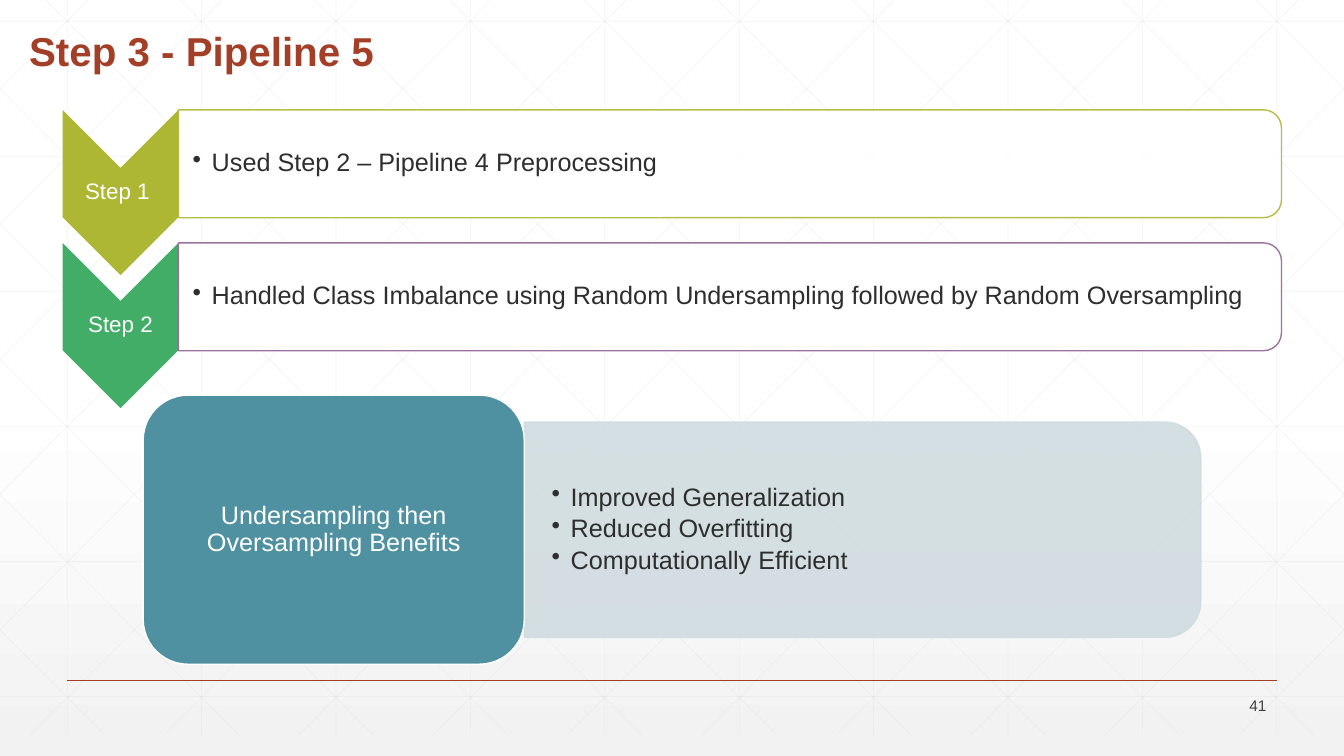
from pptx import Presentation, util as u
from pptx.dml.color import RGBColor
from pptx.enum import shapes, text
from pptx.oxml.ns import qn
from lxml import etree
from copy import deepcopy

W, H = 13.33, 7.5
CELL = W / 10
FONT = "Arial"
WHITE = RGBColor(0xFF, 0xFF, 0xFF)
MIST = RGBColor(0xF2, 0xF2, 0xF2)
GRID = RGBColor(0xD9, 0xD9, 0xD9)
RUST = RGBColor(0xA4, 0x3F, 0x27)
INK = RGBColor(0x2D, 0x2E, 0x2D)
GREY = RGBColor(0x42, 0x43, 0x42)
OLIVE = RGBColor(0xAE, 0xB7, 0x33)
GREEN = RGBColor(0x42, 0xAD, 0x67)
PURPLE = RGBColor(0x92, 0x63, 0x97)
TEAL = RGBColor(0x4F, 0x91, 0xA1)
PALE = RGBColor(0xD0, 0xDC, 0xE0)
SHAPE = shapes.MSO_SHAPE
ALIGN = text.PP_ALIGN
ANCHOR = text.MSO_ANCHOR


def set_alpha(obj, percent):
    """Make every fill and line colour of a shape partly transparent."""
    for clr in obj.element.spPr.iter(qn("a:srgbClr")):
        etree.SubElement(clr, qn("a:alpha"), val=str(percent * 1000))


def add_line(s, x1, y1, x2, y2, color, width):
    line = s.shapes.add_connector(shapes.MSO_CONNECTOR.STRAIGHT,
                                  *map(u.Inches, (x1, y1, x2, y2)))
    line.line.color.rgb = color
    line.line.width = u.Pt(width)
    etree.SubElement(line.element.spPr, qn("a:effectLst"))
    return line


def add_shape(s, kind, box, fill, line=None, turned=False):
    """Draw a shape that shows in box; a turned one is rotated by 90 degrees."""
    x, y, w, h = box
    if turned:
        x, y, w, h = x + (w - h) / 2, y + (h - w) / 2, h, w
    sp = s.shapes.add_shape(kind, *map(u.Inches, (x, y, w, h)))
    sp.rotation = 90 if turned else 0
    sp.shadow.inherit = False
    sp.fill.solid()
    sp.fill.fore_color.rgb = fill
    if line is None:
        sp.line.fill.background()
    else:
        sp.line.color.rgb = line
        sp.line.width = u.Pt(1)
    return sp


def add_text(s, box, *lines, size=18, color=INK, bold=False, align=ALIGN.LEFT,
             anchor=ANCHOR.MIDDLE, inset=(0.1, 0.05), bullet=False, spacing=0.9):
    tf = s.shapes.add_textbox(*map(u.Inches, box)).text_frame
    tf.word_wrap = True
    tf.vertical_anchor = anchor
    tf.margin_left = tf.margin_right = u.Inches(inset[0])
    tf.margin_top = tf.margin_bottom = u.Inches(inset[1])
    for i, line in enumerate(lines):
        p = tf.paragraphs[0] if i == 0 else tf.add_paragraph()
        p.alignment = align
        p.line_spacing = spacing
        if bullet:
            p.space_after = u.Pt(3)
            pPr = p._p.get_or_add_pPr()
            pPr.set("marL", str(u.Inches(0.19)))
            pPr.set("indent", str(-u.Inches(0.19)))
            etree.SubElement(pPr, qn("a:buChar"), char="•")
        r = p.add_run()
        r.text = line
        r.font.name = FONT
        r.font.size = u.Pt(size)
        r.font.bold = bold
        r.font.color.rgb = color


def add_background(s):
    """Fill the slide with a soft gradient and lay a faint lattice over it."""
    fill = s.background.fill
    fill.gradient()
    fill.gradient_angle = 270
    for stop, color in zip(fill.gradient_stops, (WHITE, MIST)):
        stop.color.rgb = color
    stops = s.element.find(".//" + qn("a:gsLst"))
    middle = deepcopy(stops[0])
    middle.set("pos", "53000")
    stops.insert(1, middle)

    top, bottom, run = -0.21, 7.29, 7.45
    slope = (bottom - top) / run
    lattice = [(CELL * (i + 0.5), top, CELL * (i + 0.5), bottom) for i in range(10)]
    lattice += [(0, 0.21 + 1.34 * i, W, 0.21 + 1.34 * i) for i in range(6)]
    for i in range(-5, 10):
        start = 0.25 + CELL * i
        x1, x2 = max(start, 0), min(start + run, W)
        y1, y2 = (top + (x - start) * slope for x in (x1, x2))
        lattice += [(x1, y1, x2, y2), (W - x1, y1, W - x2, y2)]
    for ends in lattice:
        set_alpha(add_line(s, *ends, GRID, 0.5), 25)


def add_step(s, box, label, detail, fill, outline):
    """Place a downward chevron with its outlined panel to the right."""
    x, y, w, h = box
    arrow_w, arrow_h = 1.15, 1.64
    arrow = (x, y, arrow_w, arrow_h)
    panel = (x + arrow_w, y, w - arrow_w, h)
    add_shape(s, SHAPE.CHEVRON, arrow, fill, turned=True)
    add_text(s, arrow, label, size=16, color=WHITE, align=ALIGN.CENTER,
             inset=(0.05, 0.03))
    back = add_shape(s, SHAPE.ROUND_2_SAME_RECTANGLE, panel, WHITE, outline, True)
    set_alpha(back, 90)
    add_text(s, panel, detail, bullet=True, inset=(0.14, 0.01))


def add_benefits(s, box, heading, items):
    """Place a rounded heading card with a list panel, 80% as high, beside it."""
    x, y, w, h = box
    card = (x, y, 3.78, h)
    panel = (x + 3.78, y + 0.1 * h, w - 3.78, 0.8 * h)
    back = add_shape(s, SHAPE.ROUND_2_SAME_RECTANGLE, panel, PALE, PALE, True)
    set_alpha(back, 90)
    add_text(s, panel, *items, bullet=True, inset=(0.27, 0.14))
    add_shape(s, SHAPE.ROUNDED_RECTANGLE, card, TEAL, WHITE)
    add_text(s, card, heading, color=WHITE, align=ALIGN.CENTER, inset=(0.2, 0.17))


def main():
    prs = Presentation()
    prs.slide_width, prs.slide_height = u.Inches(W), u.Inches(H)
    s = prs.slides.add_slide(prs.slide_layouts[6])
    add_background(s)
    add_line(s, CELL / 2, 0.9 * H, W - CELL / 2, 0.9 * H, RUST, 1)
    add_text(s, (0.19, 0.19, 10.5, 0.61), "Step 3 - Pipeline 5", size=28.8,
             color=RUST, bold=True, anchor=ANCHOR.BOTTOM)
    steps = [
        ("Step 1 ", "Used Step 2 – Pipeline 4 Preprocessing", OLIVE, OLIVE),
        ("Step 2", "Handled Class Imbalance using Random Undersampling "
         "followed by Random Oversampling", GREEN, PURPLE),
    ]
    for i, step in enumerate(steps):
        add_step(s, (0.62, 1.09 + 1.32 * i, 12.09, 1.07), *step)
    add_text(s, (11.66, 6.88, 1, 0.24), "41", size=11, color=GREY,
             align=ALIGN.RIGHT, spacing=1.0)
    add_benefits(s, (1.42, 3.92, 10.49, 2.67),
                 "Undersampling then Oversampling Benefits",
                 ("Improved Generalization", "Reduced Overfitting",
                  "Computationally Efficient"))
    prs.save("out.pptx")


if __name__ == "__main__":
    main()
